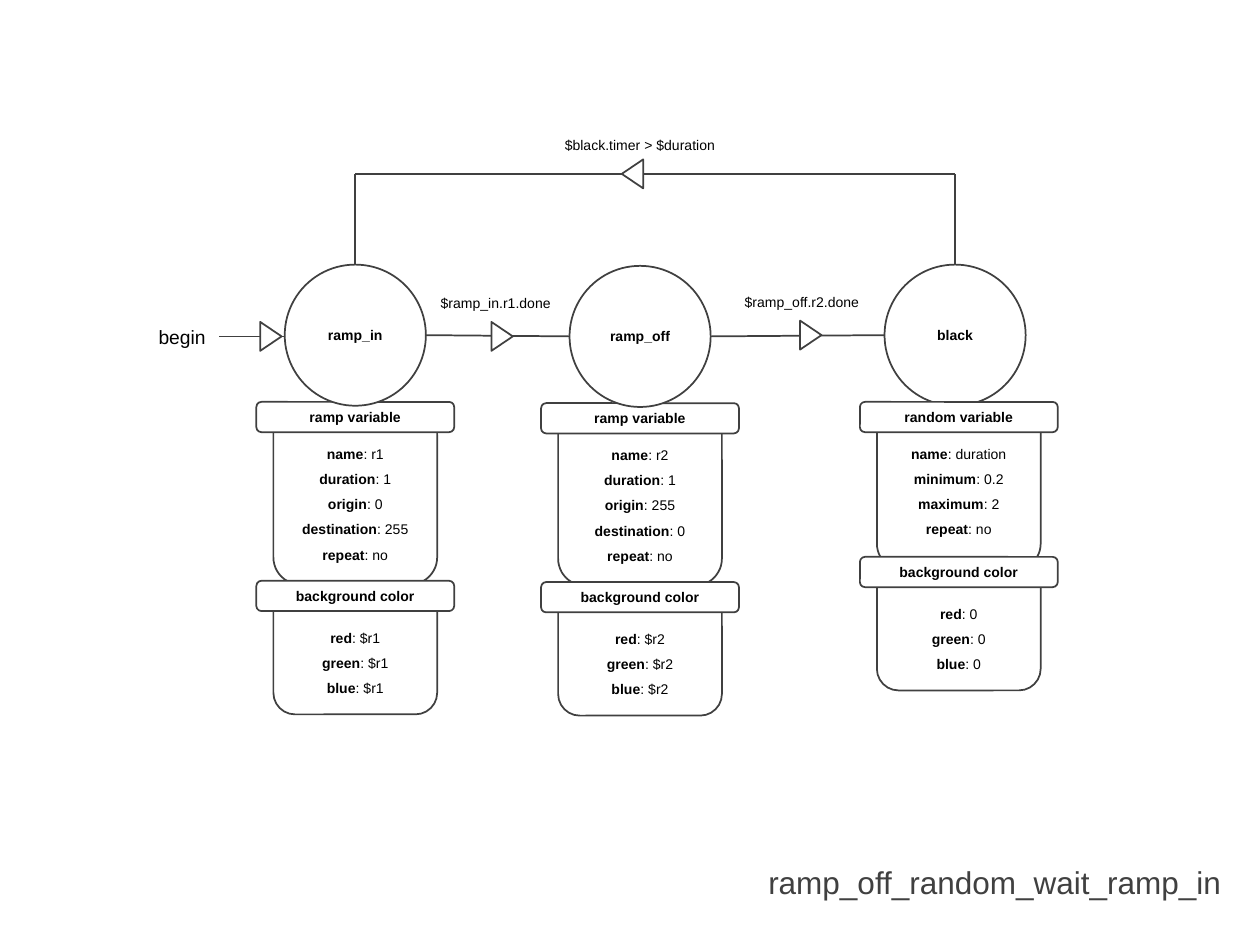
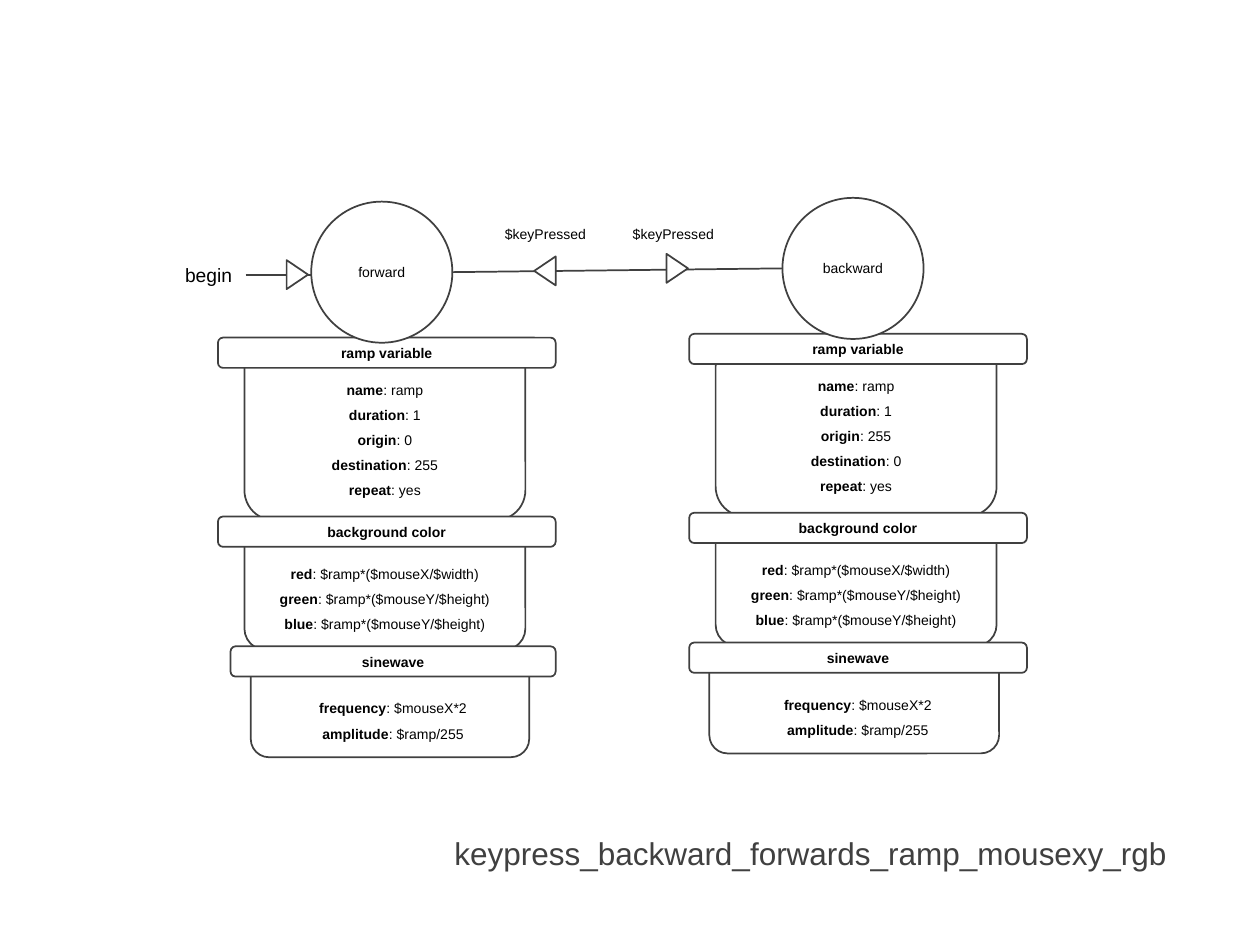
"""Build two state-machine slides; lengths are in units of one hundredth of the slide width."""
from dataclasses import dataclass

from lxml import etree
from pptx import Presentation
from pptx.dml.color import RGBColor
from pptx.enum.shapes import MSO_CONNECTOR, MSO_SHAPE
from pptx.enum.text import MSO_ANCHOR, MSO_AUTO_SIZE, PP_ALIGN
from pptx.oxml.ns import qn
from pptx.util import Inches, Pt

WIDTH, HEIGHT = Inches(10), Inches(7.5)
UNIT = WIDTH / 100
ROUND, OVAL, TRIANGLE = (MSO_SHAPE.ROUNDED_RECTANGLE, MSO_SHAPE.OVAL,
                         MSO_SHAPE.ISOSCELES_TRIANGLE)
STRAIGHT = MSO_CONNECTOR.STRAIGHT
LEFT, CENTER, RIGHT = PP_ALIGN.LEFT, PP_ALIGN.CENTER, PP_ALIGN.RIGHT
MIDDLE, GROW = MSO_ANCHOR.MIDDLE, MSO_AUTO_SIZE.SHAPE_TO_FIT_TEXT

COLORS = {"paper": "FFFFFF", "outline": "404040", "text": "000000"}
SMALL = {"name": "Arial", "size": Pt(8), "bold": False}
BOLD = {**SMALL, "bold": True}
BEGIN = {**SMALL, "size": Pt(11)}
TITLE = {**SMALL, "size": Pt(18)}
CIRCLE = 11.2
LID_HEIGHT = 2.4
ROW_HEIGHT = 2
LINE_SPACING = 1.5


@dataclass
class Card:
    """A lidded card, placed relative to the centre of its state circle."""
    title: str
    rows: list
    top: float
    lid: tuple
    body: tuple
    text: tuple


def rgb(key):
    """Return a palette colour."""
    return RGBColor.from_string(COLORS[key])


def grid(*lengths):
    """Convert grid units to slide lengths."""
    return [round(n * UNIT) for n in lengths]


def add_run(p, text, style, color="text"):
    """Add one formatted run."""
    r = p.add_run()
    r.text = text
    for key, value in style.items():
        setattr(r.font, key, value)
    r.font.color.rgb = rgb(color)


def add_shape(shapes, kind, x, y, w, h, text="", style=BOLD):
    """Add an outlined shape with centred text."""
    sp = shapes.add_shape(kind, *grid(x, y, w, h))
    sp.shadow.inherit = False
    sp.fill.solid()
    sp.fill.fore_color.rgb = rgb("paper")
    sp.line.color.rgb = rgb("outline")
    sp.line.width = Pt(1)
    if text:
        sp.text_frame.vertical_anchor = MIDDLE
        p = sp.text_frame.paragraphs[0]
        p.alignment = CENTER
        add_run(p, text, style)
    return sp


def add_text(shapes, x, y, w, h, lines, align=CENTER, spacing=LINE_SPACING, wrap=True,
             color="text"):
    """Add a text box from lines of (text, style) runs."""
    tf = shapes.add_textbox(*grid(x, y, w, h)).text_frame
    tf.word_wrap = wrap
    tf.auto_size = GROW
    for i, line in enumerate(lines):
        p = tf.add_paragraph() if i else tf.paragraphs[0]
        p.alignment = align
        p.line_spacing = spacing
        for text, style in line:
            add_run(p, text, style, color)


def add_line(shapes, x1, y1, x2, y2):
    """Add a straight connector without shadow."""
    cx = shapes.add_connector(STRAIGHT, *grid(x1, y1, x2, y2))
    cx.line.color.rgb = rgb("outline")
    cx.line.width = Pt(1)
    etree.SubElement(cx._element.spPr, qn("a:effectLst"))


def add_pointer(shapes, x, y, rotation=90):
    """Add a direction triangle centred on a point."""
    w, h = 2.3, 1.7
    add_shape(shapes, TRIANGLE, x - w / 2, y - h / 2, w, h).rotation = rotation


def add_label(shapes, x, y, text):
    """Add a transition condition centred on x."""
    w = 15.7
    add_text(shapes, x - w / 2, y, w, 2.9, [[(text, SMALL)]])


def add_begin(s, x, y):
    """Add the grouped entry arrow that ends at a point."""
    shapes = s.shapes.add_group_shape().shapes
    add_line(shapes, x - 5.2, y, x, y)
    add_pointer(shapes, x - 1.1, y)
    add_text(shapes, x - 11, y - 1.4, 5.8, 2.9, [[("begin", BEGIN)]], LEFT, 1, False)


def add_title(s, right, y, text):
    """Add the right-aligned diagram name."""
    w = 61
    add_text(s.shapes, right - w, y, w, 5.3, [[(text, TITLE)]], RIGHT, color="outline")


def add_card(s, x, y, card):
    """Add the body, lid and rows of a card."""
    top = y + card.top
    dx, w, dy, h = card.body
    add_shape(s.shapes, ROUND, x + dx - w / 2, top + dy, w, h)
    dx, w = card.lid
    add_shape(s.shapes, ROUND, x + dx - w / 2, top, w, LID_HEIGHT, card.title)
    dx, w, dy = card.text
    lines = [[(key, BOLD), (f": {value}", SMALL)] for key, value in card.rows]
    add_text(s.shapes, x + dx - w / 2, top + dy, w, len(lines) * ROW_HEIGHT + 1, lines)


def add_state(s, x, y, name, cards, style=BOLD, behind=False):
    """Add a state circle, over or behind its first card, and its cards."""
    def circle():
        add_shape(s.shapes, OVAL, x - CIRCLE / 2, y - CIRCLE / 2, CIRCLE, CIRCLE, name, style)

    if behind:
        circle()
    for i, card in enumerate(cards):
        add_card(s, x, y, card)
        if i == 0 and not behind:
            circle()


def ramp_rows(name, origin, destination, repeat):
    """Return the rows of a one-second ramp."""
    return [("name", name), ("duration", 1), ("origin", origin),
            ("destination", destination), ("repeat", repeat)]


def color_rows(*values):
    """Return the rows of a background colour."""
    return list(zip(("red", "green", "blue"), values))


def narrow_cards(title, rows, value, dx=0, body_height=14.3, second=19.5):
    """Return a variable card and a background card for the ramp slide."""
    lid, width = (dx, 15.7), 13
    return [Card(title, rows, 5.3, lid, (dx, width, 0.2, body_height), (dx, width, 2.3)),
            Card("background color", color_rows(*[value] * 3), second, lid,
                 (dx, width, 0.3, 10.3), (dx, width, 2.7))]


def wide_cards(origin, destination, sine_lid, sine_body):
    """Return the three cards of a key-press state."""
    lid, width = (0.4, 26.8), 22.3
    vertical = "$ramp*($mouseY/$height)"
    colors = color_rows("$ramp*($mouseX/$width)", vertical, vertical)
    sine = [("frequency", "$mouseX*2"), ("amplitude", "$ramp/255")]
    return [Card("ramp variable", ramp_rows("ramp", origin, destination, "yes"), 5.2, lid,
                 (0.25, width, 0.2, 14.3), (0.25, width, 2.3)),
            Card("background color", colors, 19.4, lid,
                 (0.25, width, 0.3, 10.3), (0.25, width, 2.7)),
            Card("sinewave", sine, 29.7, sine_lid,
                 (*sine_body, 0.1, 8.7), (sine_lid[0], 24, 3.1))]


def build_ramp_slide(s):
    """Draw the ramp and random wait loop."""
    ramp_in, ramp_off, black, y, loop = 28.2, 50.8, 75.8, 26.6, 13.8
    edge = CIRCLE / 2
    add_title(s, 97.9, 66.5, "ramp_off_random_wait_ramp_in")
    add_begin(s, ramp_in - edge, y + 0.1)
    add_state(s, ramp_in, y, "ramp_in",
              narrow_cards("ramp variable", ramp_rows("r1", 0, 255, "no"), "$r1"))
    add_state(s, ramp_off, y + 0.1, "ramp_off",
              narrow_cards("ramp variable", ramp_rows("r2", 255, 0, "no"), "$r2"))
    wait = [("name", "duration"), ("minimum", 0.2), ("maximum", 2), ("repeat", "no")]
    add_state(s, black, y, "black",
              narrow_cards("random variable", wait, 0, 0.3, 13.2, 17.6), behind=True)

    add_line(s.shapes, ramp_in + edge, y, ramp_off - edge, y + 0.1)
    add_line(s.shapes, ramp_off + edge, y + 0.1, black - edge, y)
    for x in (ramp_in, black):
        add_line(s.shapes, x, y - edge, x, loop)
    add_line(s.shapes, ramp_in, loop, black, loop)
    for x, dy, rotation in ((39.85, y + 0.1, 90), (64.35, y, 90), (50.2, loop, 270)):
        add_pointer(s.shapes, x, dy, rotation)
    for x, top, text in ((39.35, 22.2, "$ramp_in.r1.done"),
                         (63.65, 22.1, "$ramp_off.r2.done"),
                         (50.8, 9.7, "$black.timer > $duration")):
        add_label(s.shapes, x, top, text)


def build_keypress_slide(s):
    """Draw the two states toggled by a key press."""
    forward, backward, y1, y2 = 30.3, 67.7, 21.6, 21.3
    edge = CIRCLE / 2
    add_title(s, 93.6, 64.2, "keypress_backward_forwards_ramp_mousexy_rgb")
    add_begin(s, forward - edge, y1 + 0.2)
    add_state(s, forward, y1, "forward",
              wide_cards(0, 255, (0.9, 25.8), (0.65, 22.1)), SMALL)
    add_state(s, backward, y2, "backward",
              wide_cards(255, 0, (0.4, 26.8), (0.1, 23)), SMALL)
    add_line(s.shapes, forward + edge, y1, backward - edge, y2)
    for x, y, rotation, label_x, top in ((53.75, y2, 90, 53.45, 16.7),
                                         (43.25, y1 - 0.1, 270, 43.3, 16.7)):
        add_pointer(s.shapes, x, y, rotation)
        add_label(s.shapes, label_x, top, "$keyPressed")


def main():
    """Build and save the presentation."""
    prs = Presentation()
    prs.slide_width, prs.slide_height = WIDTH, HEIGHT
    for build in (build_ramp_slide, build_keypress_slide):
        build(prs.slides.add_slide(prs.slide_layouts[6]))
    prs.save("out.pptx")


if __name__ == "__main__":
    main()
